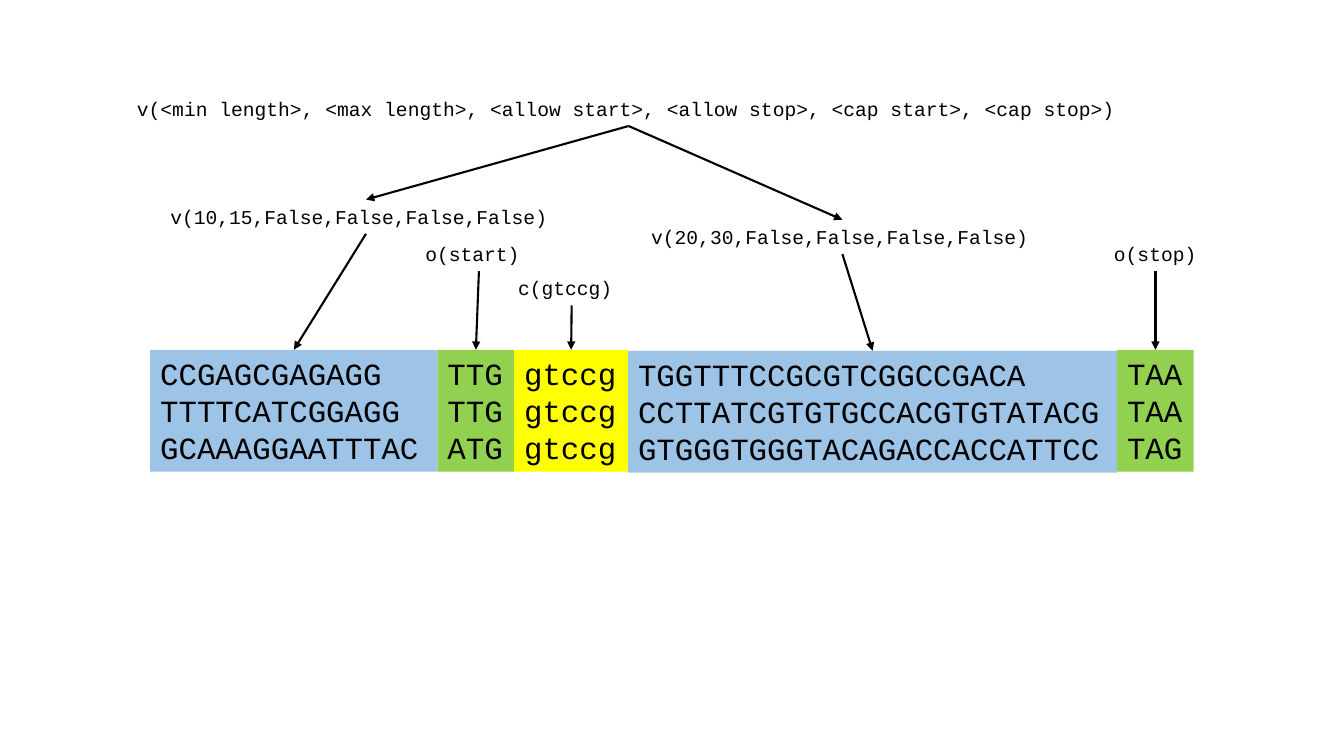
import dataclasses

import pptx
import pptx.dml.color
import pptx.enum.shapes
import pptx.enum.text
import pptx.oxml
import pptx.oxml.ns
import pptx.util

Inches = pptx.util.Inches


@dataclasses.dataclass(frozen=True)
class Theme:
    font: str = "Courier New"
    ink: str = "000000"
    variable: str = "9DC3E6"
    option: str = "92D050"
    constant: str = "FFFF00"
    label_size: int = 14
    sequence_size: int = 22
    line_width: float = 1.5


THEME = Theme()
LABEL_HEIGHT = 0.34
SEGMENT_HEIGHT = 1.21

# Label: text, left, top, width, wraps
SYNTAX = ("v(<min length>, <max length>, <allow start>, <allow stop>, <cap start>, <cap stop>)",
          1.26, 0.91, 9.95, False)

# Segment: width, drop below the row's top, fill, sequences, label
SEGMENTS = [
    (2.85, 0, THEME.variable, ["CCGAGCGAGAGG", "TTTTCATCGGAGG", "GCAAAGGAATTTAC"],
     ("v(10,15,False,False,False,False)", 1.59, 1.98, 4.08, False)),
    (0.76, 0, THEME.option, ["TTG", "TTG", "ATG"],
     ("o(start)", 4.12, 2.35, 1.26, False)),
    (1.13, 0, THEME.constant, ["gtccg"] * 3,
     ("c(gtccg)", 5.04, 2.69, 1.26, False)),
    (4.85, 0.01, THEME.variable,
     ["TGGTTTCCGCGTCGGCCGACA", "CCTTATCGTGTGCCACGTGTATACG", "GTGGGTGGGTACAGACCACCATTCC"],
     ("v(20,30,False,False,False,False)", 6.36, 2.18, 3.99, True)),
    (0.76, 0, THEME.option, ["TAA", "TAA", "TAG"],
     ("o(stop)", 10.95, 2.35, 1.02, False)),
]


def color(code):
    return pptx.dml.color.RGBColor.from_string(code)


def write(shape, lines, size, wraps):
    frame = shape.text_frame
    frame.word_wrap = wraps
    frame.auto_size = pptx.enum.text.MSO_AUTO_SIZE.SHAPE_TO_FIT_TEXT
    frame.vertical_anchor = pptx.enum.text.MSO_ANCHOR.TOP
    frame.text = "\n".join(lines)
    for para in frame.paragraphs:
        para.alignment = pptx.enum.text.PP_ALIGN.LEFT
        para.font.name = THEME.font
        para.font.size = pptx.util.Pt(size)
        para.font.color.rgb = color(THEME.ink)


def add_label(page, text, left, top, width, wraps):
    box = page.shapes.add_textbox(Inches(left), Inches(top), Inches(width), Inches(LABEL_HEIGHT))
    write(box, [text], THEME.label_size, wraps)
    return box


def add_segment(page, left, top, width, fill, sequences, wraps):
    box = page.shapes.add_shape(pptx.enum.shapes.MSO_SHAPE.RECTANGLE, Inches(left), Inches(top),
                                Inches(width), Inches(SEGMENT_HEIGHT))
    box.shadow.inherit = False
    box.fill.solid()
    box.fill.fore_color.rgb = color(fill)
    box.line.fill.background()
    write(box, sequences, THEME.sequence_size, wraps)
    return box


def add_arrow(page, source, target):
    """Join the bottom centre of one box to the top centre of another."""
    arrow = page.shapes.add_connector(
        pptx.enum.shapes.MSO_CONNECTOR.STRAIGHT,
        source.left + source.width // 2, source.top + source.height,
        target.left + target.width // 2, target.top)
    arrow.line.color.rgb = color(THEME.ink)
    arrow.line.width = pptx.util.Pt(THEME.line_width)
    head = pptx.oxml.parse_xml(f'<a:tailEnd {pptx.oxml.ns.nsdecls("a")} type="triangle"/>')
    arrow.line._get_or_add_ln().append(head)
    properties = arrow._element.spPr
    properties.append(pptx.oxml.parse_xml(f'<a:effectLst {pptx.oxml.ns.nsdecls("a")}/>'))


def add_diagram(page, left, top):
    # General form of a variable region
    syntax = add_label(page, *SYNTAX)

    # Row of segments, each with its label and arrow
    for index, (width, drop, fill, sequences, label) in enumerate(SEGMENTS):
        segment = add_segment(page, left, top + drop, width, fill, sequences, index == 0)
        caption = add_label(page, *label)
        add_arrow(page, caption, segment)
        if fill == THEME.variable:
            add_arrow(page, syntax, caption)
        left += width


def main():
    deck = pptx.Presentation()
    deck.slide_width, deck.slide_height = Inches(13.33), Inches(7.5)
    page = deck.slides.add_slide(deck.slide_layouts.get_by_name("Blank"))
    add_diagram(page, 1.49, 3.47)
    deck.save("out.pptx")


if __name__ == "__main__":
    main()
